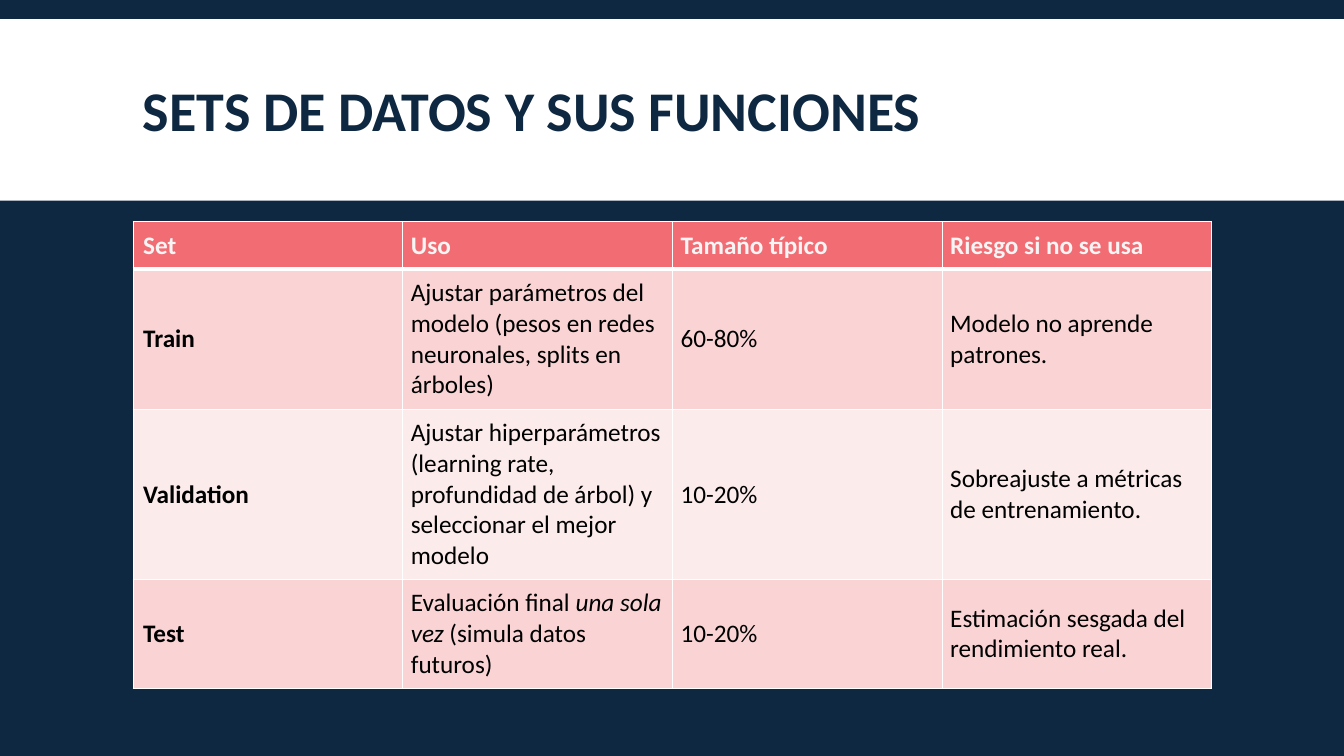
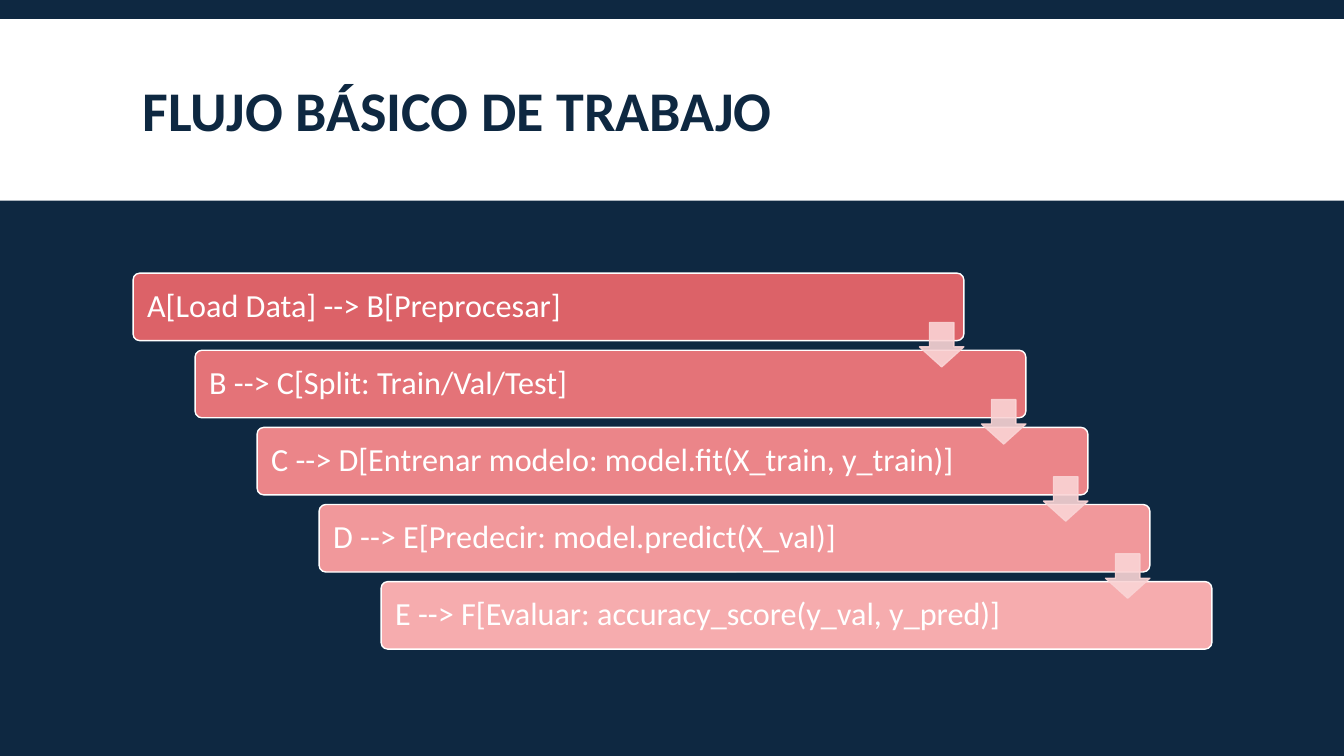
from lxml import etree
from pptx import Presentation
from pptx.dml.color import RGBColor
from pptx.enum.shapes import MSO_SHAPE
from pptx.enum.text import MSO_ANCHOR, PP_ALIGN
from pptx.oxml.ns import qn
from pptx.util import Inches, Pt

RECTANGLE = MSO_SHAPE.RECTANGLE
ROUNDED = MSO_SHAPE.ROUNDED_RECTANGLE
DOWN_ARROW = MSO_SHAPE.DOWN_ARROW
MIDDLE = MSO_ANCHOR.MIDDLE
LEFT = PP_ALIGN.LEFT

# Shared style
FONT = "Calibri"
NAVY, WHITE, BLACK = "0E2841", "FFFFFF", "000000"
CORAL, OFF_WHITE = "F26C73", "F5F5F5"
PINK, PALE_PINK = "FAD4D5", "FCEBEB"
PAGE_WIDTH, PAGE_HEIGHT = 13.33, 7.5
MARGIN, CONTENT_WIDTH = 1.32, 10.7

DATA_SETS = [
    ["Set", "Uso", "Tamaño típico", "Riesgo si no se usa"],
    ["Train",
     "Ajustar parámetros del modelo (pesos en redes neuronales, splits en árboles)",
     "60-80%", "Modelo no aprende patrones."],
    ["Validation",
     "Ajustar hiperparámetros (learning rate, profundidad de árbol) "
     "y seleccionar el mejor modelo",
     "10-20%", "Sobreajuste a métricas de entrenamiento."],
    ["Test", ["Evaluación final ", "una sola vez", " (simula datos futuros)"],
     "10-20%", "Estimación sesgada del rendimiento real."],
]
ROW_HEIGHTS = [0.47, 1.39, 1.69, 1.08]

STEPS = [
    ("A[Load Data] --> B[Preprocesar]", "DC6268"),
    ("B --> C[Split: Train/Val/Test]", "E47378"),
    ("C --> D[Entrenar modelo: model.fit(X_train, y_train)]", "EB8589"),
    ("D --> E[Predecir: model.predict(X_val)]", "F1989B"),
    ("E --> F[Evaluar: accuracy_score(y_val, y_pred)]", "F6ACAE"),
]


def color(value):
    return RGBColor.from_string(value)


def style_run(span, size, value, bold=False, italic=False):
    font = span.font
    font.name, font.size = FONT, Pt(size)
    font.bold, font.italic = bold, italic
    font.color.rgb = color(value)


def add_block(page, kind, left, top, width, height, fill, line=None):
    block = page.shapes.add_shape(
        kind, Inches(left), Inches(top), Inches(width), Inches(height))
    block.shadow.inherit = False
    block.fill.solid()
    block.fill.fore_color.rgb = color(fill)
    if line:
        block.line.color.rgb = color(line)
        block.line.width = Pt(1)
    else:
        block.line.fill.background()
    return block


def set_opacity(block, percent):
    """Apply the opacity to both fill and outline."""
    for tint in block.fill._xPr.iter(qn("a:srgbClr")):
        etree.SubElement(tint, qn("a:alpha"), val=str(percent * 1000))


def add_page(deck, title):
    page = deck.slides.add_slide(deck.slide_layouts[6])
    add_block(page, RECTANGLE, 0, 0.19, PAGE_WIDTH, 1.8, WHITE)
    box = page.shapes.add_textbox(
        Inches(MARGIN), Inches(0.31), Inches(CONTENT_WIDTH), Inches(1.65))
    frame = box.text_frame
    frame.word_wrap = True
    frame.vertical_anchor = MIDDLE
    frame.text = title
    para = frame.paragraphs[0]
    para.line_spacing = 0.85
    style_run(para.runs[0], 40, NAVY, bold=True)
    return page


def set_borders(cell, bottom):
    properties = cell._tc.get_or_add_tcPr()
    for side, points in (("L", 1), ("R", 1), ("T", 1), ("B", bottom)):
        border = etree.SubElement(
            properties, qn("a:ln" + side), w=str(Pt(points)))
        fill = etree.SubElement(border, qn("a:solidFill"))
        etree.SubElement(fill, qn("a:srgbClr"), val=WHITE)


def fill_cell(cell, content, row, column):
    header = row == 0
    set_borders(cell, 3 if header else 1)
    cell.fill.solid()
    cell.fill.fore_color.rgb = color(
        CORAL if header else PINK if row % 2 else PALE_PINK)
    cell.vertical_anchor = MIDDLE
    cell.margin_left = Inches(0.08 if column else 0.1)
    cell.margin_right = cell.margin_top = cell.margin_bottom = Inches(0.08)
    # In a list of parts, every second one is italic
    parts = [content] if isinstance(content, str) else content
    para = cell.text_frame.paragraphs[0]
    for index, part in enumerate(parts):
        span = para.add_run()
        span.text = part
        style_run(span, 18, OFF_WHITE if header else BLACK,
                  bold=header or column == 0, italic=index % 2 == 1)


def add_data_table(page, left, top, width):
    columns = len(DATA_SETS[0])
    table = page.shapes.add_table(
        len(DATA_SETS), columns, Inches(left), Inches(top),
        Inches(width), Inches(sum(ROW_HEIGHTS))).table
    for column in table.columns:
        column.width = Inches(width / columns)
    for row, contents in enumerate(DATA_SETS):
        table.rows[row].height = Inches(ROW_HEIGHTS[row])
        for column, content in enumerate(contents):
            fill_cell(table.cell(row, column), content, row, column)


def add_step(page, left, top, width, height, text, fill):
    step = add_block(page, ROUNDED, left, top, width, height, fill, WHITE)
    step.adjustments[0] = 0.1
    frame = step.text_frame
    frame.word_wrap = True
    frame.vertical_anchor = MIDDLE
    frame.margin_left = Inches(0.12)
    frame.text = text
    para = frame.paragraphs[0]
    para.alignment = LEFT
    para.line_spacing = 0.9
    style_run(para.runs[0], 23, WHITE)


def add_staircase(page, left, top, width, height):
    step_width, step_height, arrow_size = 8.24, 0.67, 0.44
    gaps = len(STEPS) - 1
    shift = (width - step_width) / gaps
    drop = (height - step_height) / gaps
    for index, (text, fill) in enumerate(STEPS):
        add_step(page, left + index * shift, top + index * drop,
                 step_width, step_height, text, fill)
    # Arrows end at the right edge of the step they leave
    for index in range(gaps):
        arrow = add_block(
            page, DOWN_ARROW,
            left + index * shift + step_width - arrow_size,
            top + index * drop + 0.49, arrow_size, arrow_size, PINK, PINK)
        arrow.adjustments[0] = 0.55
        arrow.adjustments[1] = 0.45
        set_opacity(arrow, 90)


def main():
    deck = Presentation()
    deck.slide_width, deck.slide_height = Inches(PAGE_WIDTH), Inches(PAGE_HEIGHT)
    backdrop = deck.slide_master.background.fill
    backdrop.solid()
    backdrop.fore_color.rgb = color(NAVY)

    page = add_page(deck, "SETS DE DATOS Y SUS FUNCIONES")
    add_data_table(page, MARGIN, 2.2, CONTENT_WIDTH)

    page = add_page(deck, "FLUJO BÁSICO DE TRABAJO")
    add_staircase(page, MARGIN, 2.71, CONTENT_WIDTH, 3.73)

    deck.save("out.pptx")


if __name__ == "__main__":
    main()
